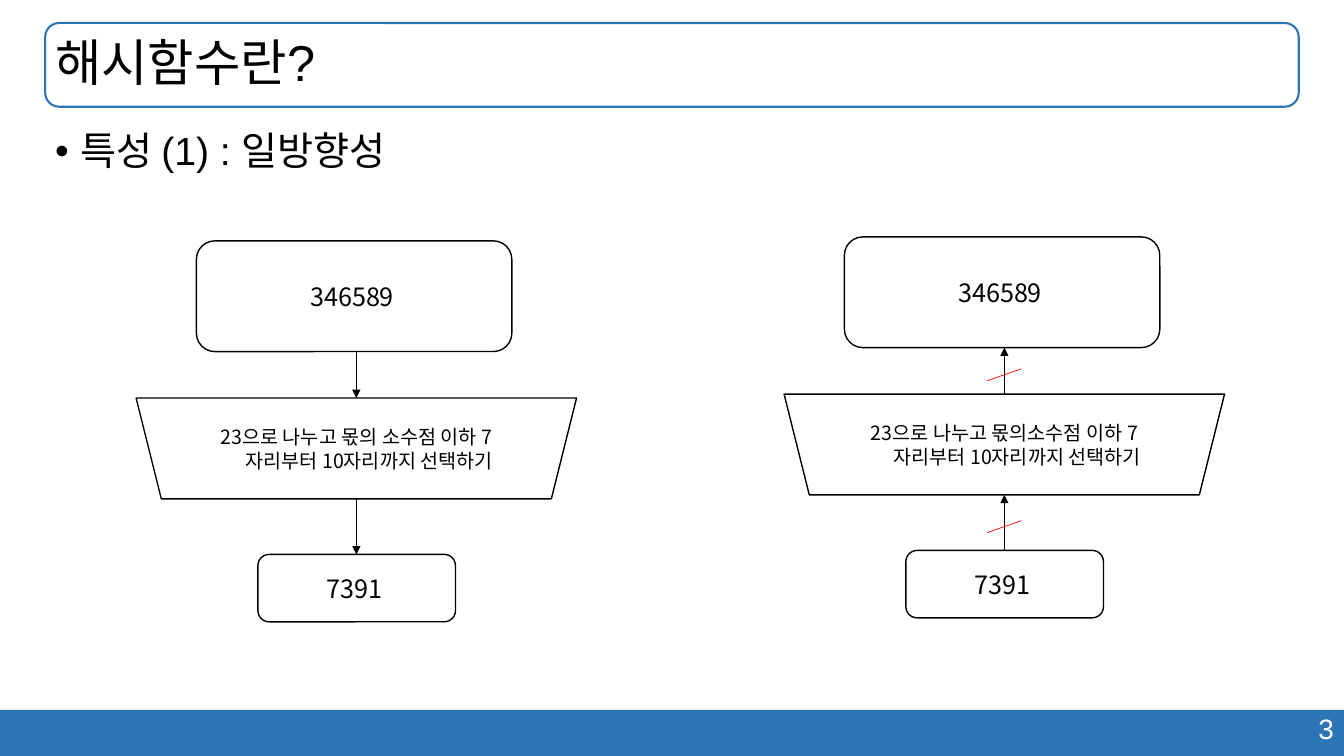
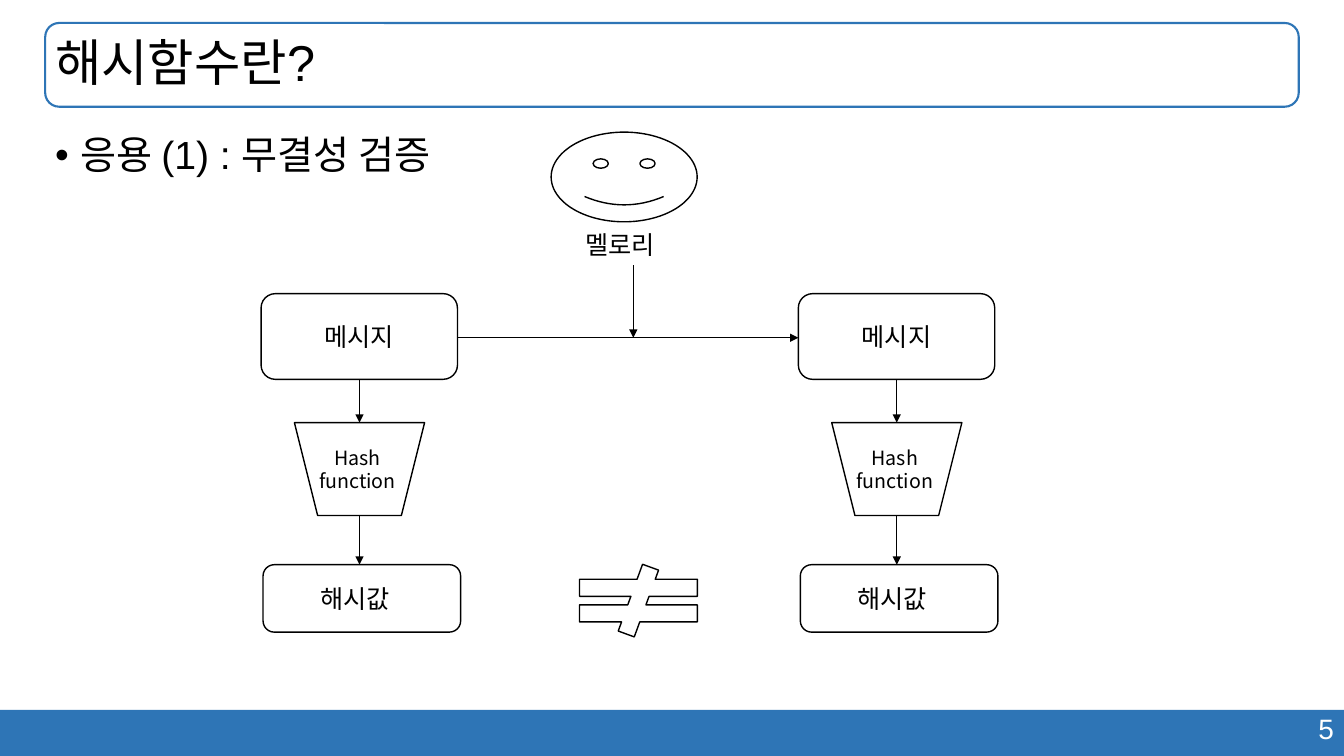
from lxml import etree
from pptx import Presentation
from pptx.dml.color import RGBColor
from pptx.enum.shapes import MSO_CONNECTOR, MSO_SHAPE
from pptx.enum.text import MSO_ANCHOR, PP_ALIGN
from pptx.oxml.ns import qn
from pptx.util import Cm, Pt

COLORS = {"blue": "2E75B6", "black": "000000", "white": "FFFFFF", "red": "FF0000"}
HEAD_FONT = "Arial"
TEXT_FONT = "Noto Sans CJK KR"
ROUNDED = MSO_SHAPE.ROUNDED_RECTANGLE
RECTANGLE = MSO_SHAPE.RECTANGLE
TRAPEZOID = MSO_SHAPE.TRAPEZOID
SMILEY = MSO_SHAPE.SMILEY_FACE
NOT_EQUAL = MSO_SHAPE.MATH_NOT_EQUAL
STRAIGHT = MSO_CONNECTOR.STRAIGHT
LEFT, CENTER, RIGHT = PP_ALIGN.LEFT, PP_ALIGN.CENTER, PP_ALIGN.RIGHT
TOP, MIDDLE = MSO_ANCHOR.TOP, MSO_ANCHOR.MIDDLE
PAGE_WIDTH, PAGE_HEIGHT = 33.87, 19.05
MARGIN = 1.14
HANGING = 0.64


def color(name):
    return RGBColor.from_string(COLORS[name])


def write(box, text, size=18, font=TEXT_FONT, tone="black", align=CENTER,
          anchor=TOP, hanging=False, bullet=False):
    frame = box.text_frame
    frame.word_wrap = True
    frame.vertical_anchor = anchor
    frame.text = text
    para = frame.paragraphs[0]
    para.alignment = align
    properties = para._p.get_or_add_pPr()
    if hanging or bullet:
        properties.set("marL", str(Cm(HANGING)))
        properties.set("indent", str(-Cm(HANGING)))
    if bullet:
        etree.SubElement(properties, qn("a:buFont"), typeface=HEAD_FONT)
        etree.SubElement(properties, qn("a:buChar"), char="•")
    for span in para.runs:
        span.font.size = Pt(size)
        span.font.name = font
        span.font.color.rgb = color(tone)
        etree.SubElement(span._r.get_or_add_rPr(), qn("a:ea"), typeface=TEXT_FONT)
    return para


def add_text(page, left, top, width, height, text, **style):
    box = page.shapes.add_textbox(Cm(left), Cm(top), Cm(width), Cm(height))
    return write(box, text, **style)


def add_outline(page, kind, left, top, width, height, tone="black", weight=1):
    shape = page.shapes.add_shape(kind, Cm(left), Cm(top), Cm(width), Cm(height))
    shape.shadow.inherit = False
    shape.fill.background()
    shape.line.color.rgb = color(tone)
    shape.line.width = Pt(weight)
    return shape


def add_node(page, left, top, width, height, text, right_inset=0.25):
    node = add_outline(page, ROUNDED, left, top, width, height)
    write(node, text, anchor=MIDDLE)
    node.text_frame.margin_right = Cm(right_inset)


def add_funnel(page, left, top, width, height):
    add_outline(page, TRAPEZOID, left, top, width, height).rotation = 180


def add_line(page, start, end, tone="black", arrow=True):
    line = page.shapes.add_connector(STRAIGHT, *map(Cm, start + end))
    line.line.color.rgb = color(tone)
    line.line.width = Pt(0.5)
    properties = line._element.spPr
    if arrow:
        etree.SubElement(properties.find(qn("a:ln")), qn("a:tailEnd"), type="triangle")
    etree.SubElement(properties, qn("a:effectLst"))


def add_page(deck, title, topic, topic_top, number):
    page = deck.slides.add_slide(deck.slide_layouts[6])
    band_top = 17.89
    band = add_outline(page, RECTANGLE, 0, band_top, PAGE_WIDTH, PAGE_HEIGHT - band_top)
    band.fill.solid()
    band.fill.fore_color.rgb = color("blue")
    band.line.fill.background()
    add_text(page, PAGE_WIDTH - 9.91, 17.8, 9.91, 1.12, number, size=20,
             font=HEAD_FONT, tone="white", align=RIGHT)
    width = PAGE_WIDTH - 2 * MARGIN
    title_box = add_outline(page, ROUNDED, MARGIN, 0.58, width, 2.11, "blue", 1.5)
    heading = write(title_box, title, size=36, font=HEAD_FONT, align=LEFT, anchor=MIDDLE)
    heading.line_spacing = 0.9
    title_box.text_frame.margin_left = Cm(0.15)
    point = add_text(page, MARGIN, topic_top, width, 1.6, topic, size=28,
                     font=HEAD_FONT, align=LEFT, bullet=True)
    point.line_spacing = 0.9
    return page


def add_number_flow(page, left, top, rule, blocked=False):
    middle = left + 5.55
    add_node(page, left + 1.52, top, 7.95, 2.79, "346589", 0.35)
    add_funnel(page, left, top + 3.96, 11.1, 2.54)
    add_text(page, left + 1.06, top + 4.52, 8.99, 1.45, rule, size=14, hanging=True)
    add_node(page, left + 3.07, top + 7.9, 4.98, 1.7, "7391", 0.35)
    for upper, lower in ((2.79, 3.96), (6.5, 7.9)):
        start, end = (middle, top + upper), (middle, top + lower)
        if not blocked:
            add_line(page, start, end)
            continue
        add_line(page, end, start)
        center = top + (upper + lower) / 2 + 0.1
        add_line(page, (middle - 0.43, center + 0.15), (middle + 0.43, center - 0.15),
                 "red", arrow=False)


def add_hash_column(page, left, top):
    middle = left + 2.48
    add_node(page, left, top, 4.95, 2.16, "메시지")
    add_funnel(page, left + 0.84, top + 3.25, 3.28, 2.34)
    add_text(page, left + 1.02, top + 3.7, 2.82, 1.45, "Hash function", size=14)
    add_node(page, left + 0.05, top + 6.83, 4.98, 1.7, "해시값", 0.6)
    for upper, lower in ((2.16, 3.25), (5.59, 6.83)):
        add_line(page, (middle, top + upper), (middle, top + lower))


def add_attack(page, left, top):
    add_outline(page, SMILEY, left, top, 3.68, 2.26)
    add_text(page, left + 0.61, top + 2.33, 2.87, 1.02, "멜로리", align=LEFT)
    add_line(page, (left + 2.07, top + 3.35), (left + 2.07, top + 5.18))


def build_one_way(deck):
    page = add_page(deck, "해시함수란?", "특성 (1) : 일방향성", 3.2, "3")
    add_number_flow(page, 3.43, 6.07, "23으로 나누고 몫의 소수점 이하 7자리부터 10자리까지 선택하기")
    add_number_flow(page, 19.76, 5.97, "23으로 나누고 몫의소수점 이하 7자리부터 10자리까지 선택하기",
                    blocked=True)


def build_integrity(deck):
    page = add_page(deck, "해시함수란?", "응용 (1) : 무결성 검증", 3.3, "5")
    sender, receiver, top = 6.58, 20.12, 7.4
    for left in (sender, receiver):
        add_hash_column(page, left, top)
    add_line(page, (sender + 4.95, top + 1.11), (receiver, top + 1.11))
    add_attack(page, 13.89, 3.33)
    add_outline(page, NOT_EQUAL, 14.07, 14.22, 4.04, 1.83)


def main():
    deck = Presentation()
    deck.slide_width = Cm(PAGE_WIDTH)
    deck.slide_height = Cm(PAGE_HEIGHT)
    build_one_way(deck)
    build_integrity(deck)
    deck.save("out.pptx")


if __name__ == "__main__":
    main()
